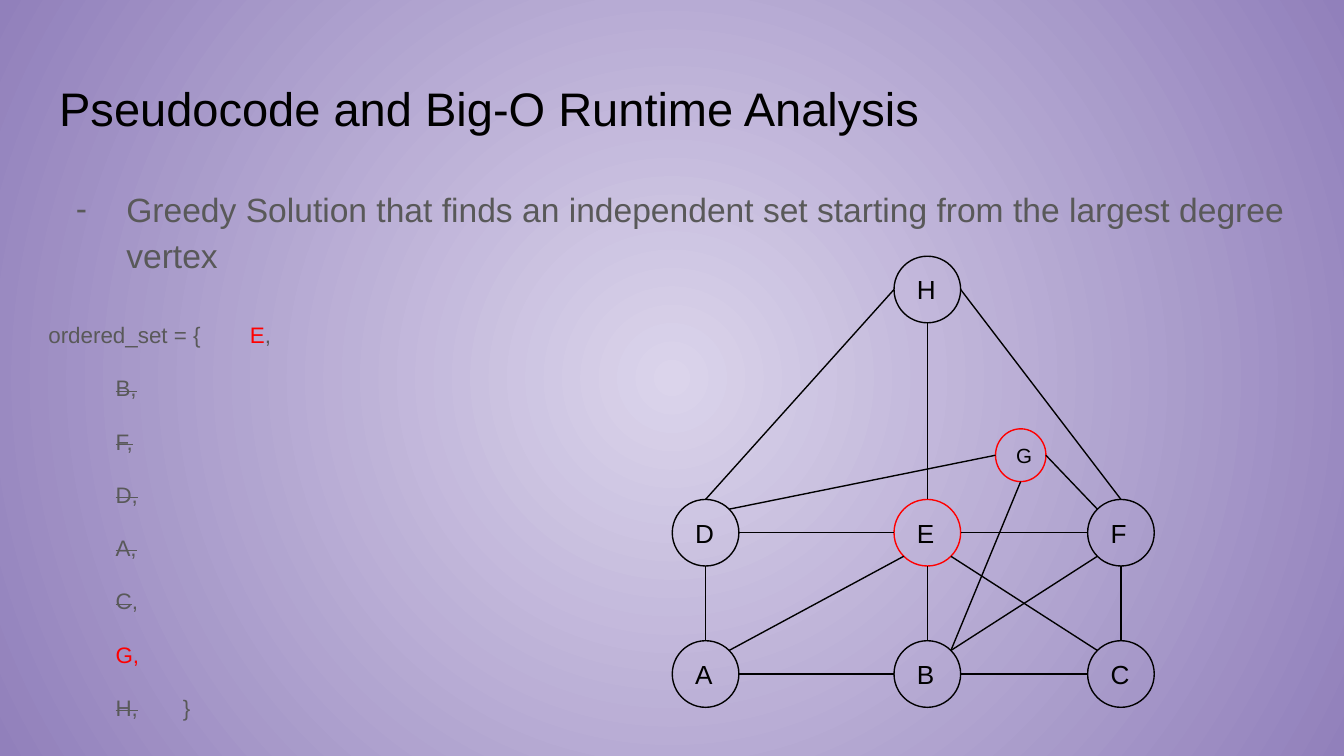
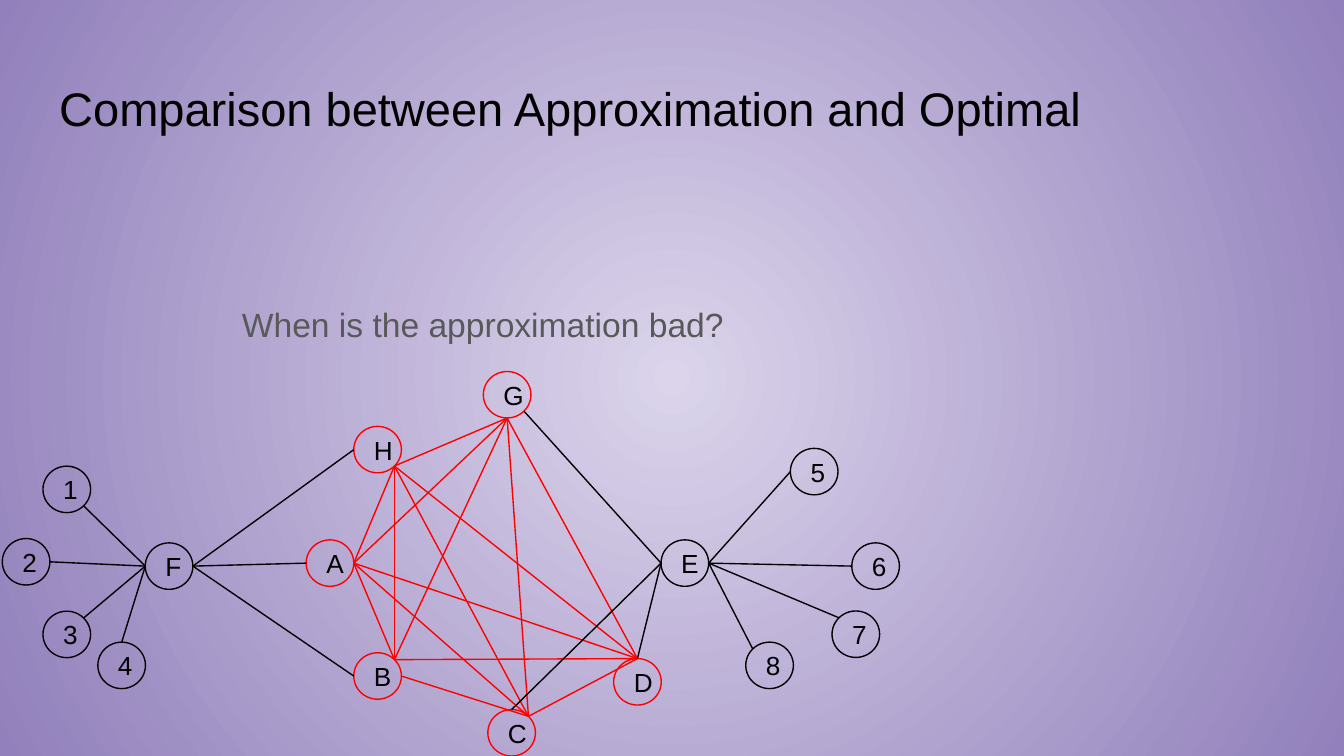
from itertools import combinations
from math import sqrt

from lxml.etree import SubElement
from pptx import Presentation
from pptx.dml.color import RGBColor
from pptx.enum.shapes import MSO_CONNECTOR, MSO_SHAPE
from pptx.enum.text import MSO_ANCHOR, MSO_AUTO_SIZE, PP_ALIGN
from pptx.oxml.ns import qn
from pptx.util import Pt

INK = {"black": "000000", "gray": "595959", "red": "FF0000",
       "core": "DBD4EB", "edge": "9180BB"}
FONT = "Arial"
TITLE_BOX = (24.5, 35.2, 671, 45.1)

BODY = {"line_spacing": 1.15, "space_before": Pt(0), "space_after": Pt(0)}
ITEM = {**BODY, "space_before": Pt(12)}
LAST = {**ITEM, "space_after": Pt(12)}
HEAD = {"space_before": Pt(0), "space_after": Pt(0)}
FRAME = {"word_wrap": True, "auto_size": MSO_AUTO_SIZE.NONE,
         "margin_left": Pt(7.2), "margin_right": Pt(7.2),
         "margin_top": Pt(7.2), "margin_bottom": Pt(7.2)}

GREEDY = [dict(form=BODY, dash=True, runs=[
    ("Greedy Solution that finds an independent set starting from the largest degree vertex",
     "gray", False)])]
ASK = [dict(form={**BODY, "space_after": Pt(12)},
            runs=[("When is the approximation bad?", "gray", False)])]

FIRST_TAB = (144,)
ITEM_TABS = (216, 288)
ORDER = [
    dict(form=BODY, tabs=FIRST_TAB, runs=[
        ("ordered_set = {\t", "gray", False), ("E", "red", False), (",", "gray", False)]),
    *[dict(form=ITEM, tabs=ITEM_TABS, runs=[
        ("\t", "gray", False), (name + ",", "gray", True)]) for name in "BFDA"],
    dict(form=ITEM, tabs=ITEM_TABS, runs=[
        ("\t", "gray", False), ("C", "gray", True), (",", "gray", False)]),
    dict(form=ITEM, tabs=ITEM_TABS, runs=[("\t", "gray", False), ("G,", "red", False)]),
    dict(form=LAST, tabs=ITEM_TABS, runs=[
        ("\t", "gray", False), ("H,", "gray", True), ("\t}", "gray", False)]),
]

COLS = (378, 496.8, 600.5)
ROWS = (155.1, 285.4, 361.1)
BIG = (35.7, 35.7)
SMALL = (25.5, 24.9)

SET_SPOTS = {
    **dict(zip("ABC", [(x, ROWS[2]) for x in COLS])),
    **dict(zip("DEF", [(x, ROWS[1]) for x in COLS])),
    "G": (546.8, 243.9), "H": (COLS[1], ROWS[0]),
}
SET_EDGES = [
    "G.s B.ne", "G.e F.nw", "F.n H.e", "E.n H.s", "D.n H.w", "G.w D.ne",
    "A.n D.s", "A.e B.w", "E.s B.n", "D.e E.w", "C.n F.s", "C.w B.e",
    "C.nw E.se", "F.sw B.ne", "E.e F.w", "A.ne E.sw",
]

BAD_SPOTS = {
    "A": (176.8, 301.7), "B": (202.3, 362.2), "C": (274.1, 392.6),
    "D": (341.5, 365.3), "E": (366.9, 301.7), "F": (90.6, 303.3),
    "G": (271.7, 211.5), "H": (202.3, 240.9),
    "1": (35.8, 262.2), "2": (14, 301), "3": (35.8, 339.9), "4": (65.2, 356.5),
    "5": (436.2, 252.7), "6": (469.1, 303.3), "7": (458.5, 339.8), "8": (412.3, 356.5),
}
CLIQUE = ["G.s", "D.n", "H.se", "A.e", "B.ne", "C.ne"]
CLIQUE_EDGES = [f"{a} {b}" for a, b in combinations(CLIQUE, 2)
                if (a, b) != ("B.ne", "C.ne")] + ["B.e C.ne"]
BAD_EDGES = [
    "2.e F.w", "1.se F.w", "3.ne F.w", "4.n F.w",
    "E.e 5.w", "E.e 6.w", "E.e 7.nw", "E.e 8.nw",
    "E.w C.n", "E.w D.n", "E.w G.se", "F.e H.w", "F.e B.w", "F.e A.w",
]

PAGES = [
    dict(layout=3, title="Pseudocode and Big-O Runtime Analysis",
         bodies=[((24.5, 90.7, 671, 98.6), 18, GREEDY),
                 ((18.7, 162.7, 319.7, 239), 12, ORDER)],
         spots=SET_SPOTS, size=BIG, odd={"G": ((27, 28.3), 11)}, red="EG",
         edges=[("black", SET_EDGES)]),
    dict(layout=1, title="Comparison between Approximation and Optimal",
         bodies=[((122.4, 152.6, 291.6, 41), 18, ASK)],
         spots=BAD_SPOTS, size=SMALL, odd={}, red="ABCDGH",
         edges=[("red", CLIQUE_EDGES), ("black", BAD_EDGES)]),
]


def tint(name):
    return RGBColor.from_string(INK[name])


def apply(item, form):
    for key, value in form.items():
        setattr(item, key, value)


def place(shape, box):
    apply(shape, dict(zip(("left", "top", "width", "height"), map(Pt, box))))


def write(para, text, size, color, strike=False):
    run = para.add_run()
    run.text = text
    apply(run.font, {"name": FONT, "size": Pt(size)})
    run.font.color.rgb = tint(color)
    if strike:
        run._r.get_or_add_rPr().set("strike", "sngStrike")


def mark(para, dash, tabs):
    props = para._p.get_or_add_pPr()
    props.set("marL", str(Pt(36 if dash else 0)))
    props.set("indent", str(Pt(-27 if dash else 0)))
    if dash:
        color = SubElement(props, qn("a:buClr"))
        SubElement(color, qn("a:srgbClr"), val=INK["gray"])
        SubElement(props, qn("a:buChar"), char="-")
    else:
        SubElement(props, qn("a:buNone"))
    if tabs:
        stops = SubElement(props, qn("a:tabLst"))
        for stop in tabs:
            SubElement(stops, qn("a:tab"), pos=str(Pt(stop)), algn="l")


def fill_box(shape, box, size, lines):
    place(shape, box)
    frame = shape.text_frame
    apply(frame, {**FRAME, "vertical_anchor": MSO_ANCHOR.TOP})
    for i, line in enumerate(lines):
        para = frame.add_paragraph() if i else frame.paragraphs[0]
        apply(para, {"alignment": PP_ALIGN.LEFT, **line["form"]})
        mark(para, line.get("dash"), line.get("tabs"))
        for text, color, strike in line["runs"]:
            write(para, text, size, color, strike)


def draw_line(line, color):
    line.color.rgb = tint(color)
    line.width = Pt(0.75)


def add_node(slide, name, spot, size, pts, color):
    (x, y), (w, h) = spot, size
    node = slide.shapes.add_shape(
        MSO_SHAPE.OVAL, *map(Pt, (x - w / 2, y - h / 2, w, h)))
    node.shadow.inherit = False
    node.fill.background()
    draw_line(node.line, color)
    apply(node.text_frame, {**FRAME, "vertical_anchor": MSO_ANCHOR.MIDDLE})
    para = node.text_frame.paragraphs[0]
    para.alignment = PP_ALIGN.LEFT
    write(para, name, pts, "black")


def rim(end, spots, sizes):
    name, side = end.split(".")
    (x, y), (w, h) = spots[name], sizes[name]
    scale = 1 / sqrt(len(side)) / 2
    dx = ("e" in side) - ("w" in side)
    dy = ("s" in side) - ("n" in side)
    return Pt(x + dx * w * scale), Pt(y + dy * h * scale)


def add_graph(slide, page):
    spots, sizes = page["spots"], {}
    for name, spot in spots.items():
        sizes[name], pts = page["odd"].get(name, (page["size"], 14))
        color = "red" if name in page["red"] else "black"
        add_node(slide, name, spot, sizes[name], pts, color)
    for color, edges in page["edges"]:
        for edge in edges:
            start, stop = (rim(end, spots, sizes) for end in edge.split())
            link = slide.shapes.add_connector(MSO_CONNECTOR.STRAIGHT, *start, *stop)
            draw_line(link.line, color)
            SubElement(link._element.spPr, qn("a:effectLst"))


def paint(master):
    fill = master.background.fill
    fill.gradient()
    for stop, name in zip(fill.gradient_stops, ("core", "edge")):
        stop.color.rgb = tint(name)
    grad = next(master._element.iter(qn("p:bgPr"))).find(qn("a:gradFill"))
    lin = grad.find(qn("a:lin"))
    if lin is not None:
        grad.remove(lin)
    ring = SubElement(grad, qn("a:path"))
    ring.set("path", "circle")
    SubElement(ring, qn("a:fillToRect"), l="50000", t="50000", r="50000", b="50000")


def main():
    deck = Presentation()
    apply(deck, {"slide_width": Pt(720), "slide_height": Pt(405)})
    paint(deck.slide_master)
    for page in PAGES:
        slide = deck.slides.add_slide(deck.slide_layouts[page["layout"]])
        title = [dict(form=HEAD, runs=[(page["title"], "black", False)])]
        fill_box(slide.shapes.title, TITLE_BOX, 25.2, title)
        for i, body in enumerate(page["bodies"], 1):
            fill_box(slide.placeholders[i], *body)
        add_graph(slide, page)
    deck.save("out.pptx")


if __name__ == "__main__":
    main()
